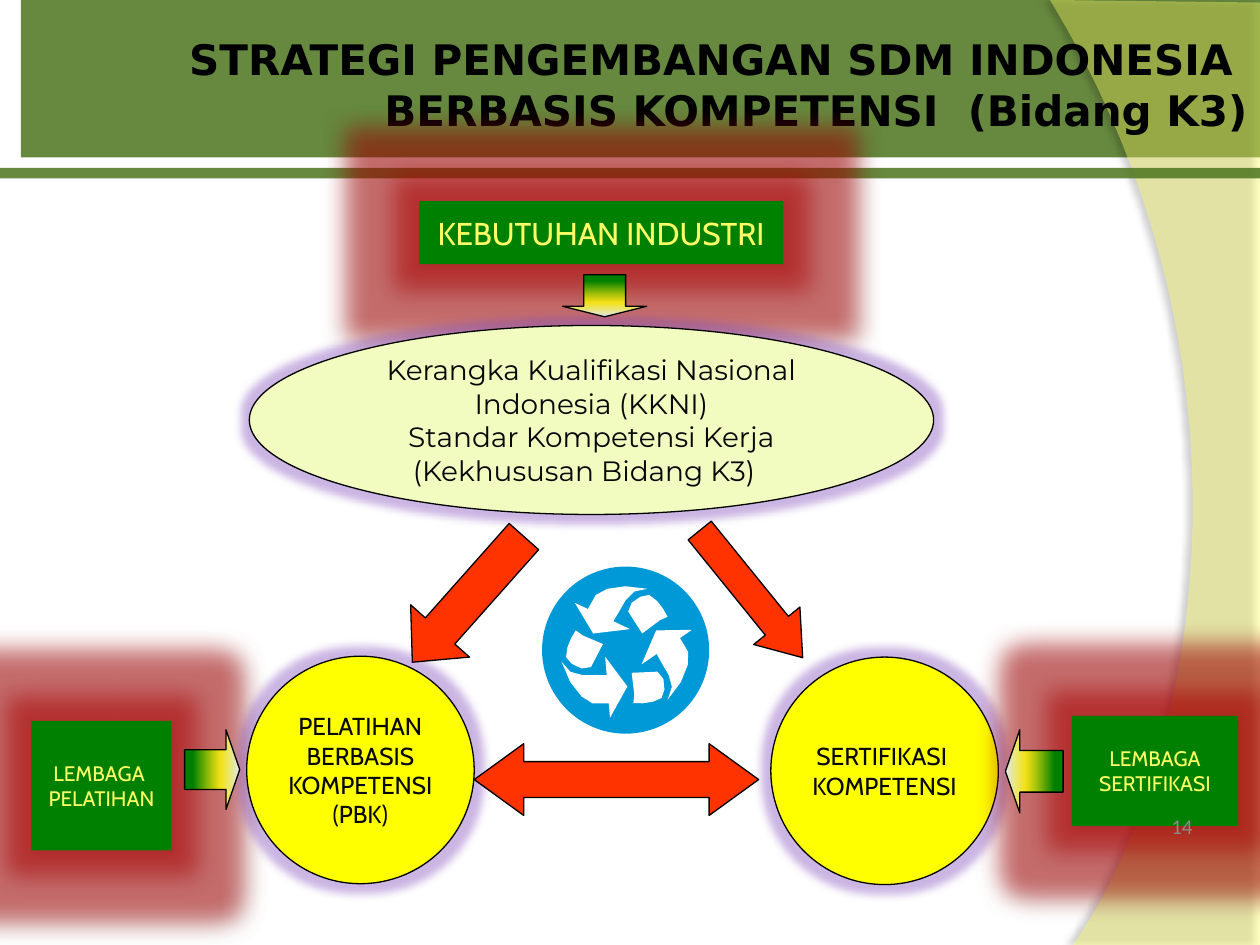
from dataclasses import dataclass
from math import cos, radians, sin

from lxml import etree
from pptx import Presentation
from pptx.dml.color import RGBColor
from pptx.enum.shapes import MSO_SHAPE
from pptx.enum.text import MSO_ANCHOR, PP_ALIGN
from pptx.oxml.ns import qn
from pptx.util import Pt

RECTANGLE, OVAL = MSO_SHAPE.RECTANGLE, MSO_SHAPE.OVAL
RIGHT_ARROW, DOUBLE_ARROW = MSO_SHAPE.RIGHT_ARROW, MSO_SHAPE.LEFT_RIGHT_ARROW
MIDDLE = MSO_ANCHOR.MIDDLE
CENTER, RIGHT = PP_ALIGN.CENTER, PP_ALIGN.RIGHT


@dataclass(frozen=True)
class Theme:
    band: str = "4D7620"
    swoosh: str = "FFFF66"
    industry: str = "008000"
    framework: str = "F2FCC0"
    circle: str = "FFFF00"
    arrow: str = "FF3300"
    icon: str = "0099D8"
    white: str = "FFFFFF"
    black: str = "000000"
    ink: str = "080808"
    number: str = "8C8C8C"
    red_glow: tuple = ("B00000", 50, 28)
    violet_glow: tuple = ("7D46B9", 40, 10)
    box_shadow: tuple = ("000000", 30, 4.5, 2.6, 53)
    swoosh_shadow: tuple = ("000000", 45, 4, 4, 180)
    gradient: tuple = ((16, "008000", 100), (65, "FFFF00", 80), (100, "E1E8F5", 100))
    title_size: float = 24
    heading_size: float = 18
    framework_size: float = 16
    circle_size: float = 14
    small_size: float = 12


class SlideBuilder:
    """Draws styled elements on the current slide, measured in points."""

    def __init__(self, slide, theme):
        self.slide, self.theme = slide, theme

    def color_node(self, parent, color, alpha):
        node = etree.SubElement(parent, qn("a:srgbClr"), val=color)
        etree.SubElement(node, qn("a:alpha"), val=str(alpha * 1000))

    def place(self, shape, box):
        for name, value in zip(("left", "top", "width", "height"), box):
            setattr(shape, name, Pt(value))

    def paint(self, shape, fill=None, alpha=100, line=None, glow=None, shadow=None):
        shape.shadow.inherit = False
        properties = shape._element.spPr
        if fill:
            shape.fill.solid()
            shape.fill.fore_color.rgb = RGBColor.from_string(fill)
            if alpha < 100:
                color = properties.find(qn("a:solidFill"))[0]
                etree.SubElement(color, qn("a:alpha"), val=str(alpha * 1000))
        if line:
            shape.line.color.rgb = RGBColor.from_string(line)
            shape.line.width = Pt(0.75)
        else:
            shape.line.fill.background()
        effects = properties.find(qn("a:effectLst"))
        if glow:
            color, opacity, radius = glow
            node = etree.SubElement(effects, qn("a:glow"), rad=str(Pt(radius)))
            self.color_node(node, color, opacity)
        if shadow:
            color, opacity, blur, distance, angle = shadow
            node = etree.SubElement(effects, qn("a:outerShdw"), blurRad=str(Pt(blur)),
                                    dist=str(Pt(distance)), dir=str(angle * 60000),
                                    algn="ctr", rotWithShape="0")
            self.color_node(node, color, opacity)

    def set_text(self, shape, text, size, color, font, align=CENTER, bold=False,
                 wrap=True, inset=7.2):
        frame = shape.text_frame
        frame.text = text
        frame_format = {"word_wrap": wrap, "vertical_anchor": MIDDLE,
                        "margin_left": Pt(inset), "margin_right": Pt(inset),
                        "margin_top": Pt(3.6), "margin_bottom": Pt(3.6)}
        for name, value in frame_format.items():
            setattr(frame, name, value)
        for para in frame.paragraphs:
            para.alignment = align
            for span in para.runs:
                for name, value in {"size": Pt(size), "name": font, "bold": bold}.items():
                    setattr(span.font, name, value)
                span.font.color.rgb = RGBColor.from_string(color)

    def shape(self, kind, box, rotation=0, adjustments=(), **paint):
        shape = self.slide.shapes.add_shape(kind, *map(Pt, box))
        shape.rotation = rotation
        for index, value in enumerate(adjustments):
            shape.adjustments[index] = value
        self.paint(shape, **paint)
        return shape

    def outline(self, points, **paint):
        corners = [(Pt(x), Pt(y)) for x, y in points]
        builder = self.slide.shapes.build_freeform(*corners[0])
        builder.add_line_segments(corners[1:], close=True)
        self.paint(builder.convert_to_shape(), **paint)

    def title(self, text, box):
        title = self.slide.shapes.title
        self.slide.shapes._spTree.append(title._element)
        self.place(title, box)
        self.set_text(title, text, self.theme.title_size, self.theme.black, "DejaVu Sans",
                      align=RIGHT, bold=True)

    def industry_box(self, text, box, size):
        shape = self.shape(RECTANGLE, box, fill=self.theme.industry,
                           glow=self.theme.red_glow, shadow=self.theme.box_shadow)
        self.set_text(shape, text, size, self.theme.swoosh, "Cabin", wrap=False)

    def oval(self, text, box, fill, size, font, wrap=True):
        shape = self.shape(OVAL, box, fill=fill, line=self.theme.black,
                           glow=self.theme.violet_glow)
        self.set_text(shape, text, size, self.theme.ink, font, wrap=wrap, inset=0)

    def arrow(self, kind, box, rotation, head):
        self.shape(kind, box, rotation, (0.5, head), fill=self.theme.arrow,
                   line=self.theme.black)

    def gradient_arrow(self, box, rotation):
        shape = self.shape(RIGHT_ARROW, box, rotation, (0.5, 0.25), line=self.theme.black)
        shape.fill.gradient()
        shape.fill.gradient_angle = 0
        stops = shape._element.spPr.find(qn("a:gradFill")).find(qn("a:gsLst"))
        for stop in list(stops):
            stops.remove(stop)
        for position, color, alpha in self.theme.gradient:
            stop = etree.SubElement(stops, qn("a:gs"), pos=str(position * 1000))
            self.color_node(stop, color, alpha)

    def cycle_icon(self, center_x, center_y, diameter):
        radius = diameter / 2
        self.shape(OVAL, (center_x - radius, center_y - radius, diameter, diameter),
                   fill=self.theme.icon)
        head = ((-29, -27), (-21.5, -23.5), (-17, -31.5), (-10.5, -35), (0, -36.5),
                (12.5, -35), (5, -33.5), (0, -28.5), (-4, -21.5), (-7, -16.5),
                (2.5, -12), (-18.5, -9.5))
        tail = ((9.5, -9.5), (1.5, -22), (3.5, -27), (8.5, -30.5), (13.5, -31.5),
                (18, -28), (21.5, -23.5), (24, -19), (19.5, -17))
        for turn in (0, 120, 240):
            cosine, sine = cos(radians(turn)), sin(radians(turn))
            for part in (head, tail):
                self.outline([(center_x + x * cosine - y * sine,
                               center_y + x * sine + y * cosine) for x, y in part],
                             fill=self.theme.white)

    def label(self, text, box):
        shape = self.slide.shapes.add_textbox(*map(Pt, box))
        self.set_text(shape, text, self.theme.small_size, self.theme.number, "Calibri",
                      align=RIGHT)


def curve(start, first, second, end, steps=40):
    """Return points along a cubic curve."""
    return [tuple((1 - t) ** 3 * a + 3 * (1 - t) ** 2 * t * b + 3 * (1 - t) * t ** 2 * c
                  + t ** 3 * d for a, b, c, d in zip(start, first, second, end))
            for t in (step / steps for step in range(steps + 1))]


def main():
    theme = Theme()
    deck = Presentation()
    deck.slide_width, deck.slide_height = Pt(720), Pt(540)
    page = SlideBuilder(deck.slides.add_slide(deck.slide_layouts[5]), theme)

    page.shape(RECTANGLE, (12, 0, 708, 90), fill=theme.band, alpha=86)
    edge = curve((613, 540), (680.5, 445.5), (731, 216), (600, 0))
    page.outline([(720, 1.5), (720, 540), *edge], fill=theme.swoosh, alpha=40,
                 shadow=theme.swoosh_shadow)
    page.shape(RECTANGLE, (0, 96, 720, 6), fill=theme.band, alpha=86)
    page.title("STRATEGI PENGEMBANGAN SDM INDONESIA \vBERBASIS KOMPETENSI  (Bidang K3)",
               (96, 18, 624, 60))

    page.industry_box("KEBUTUHAN INDUSTRI", (239.5, 115, 208, 36), theme.heading_size)
    page.industry_box("LEMBAGA \nPELATIHAN", (18, 412, 80, 74), theme.small_size)
    page.oval("Kerangka Kualifikasi Nasional Indonesia (KKNI)\nStandar Kompetensi Kerja\n"
              "(Kekhususan Bidang K3)  ", (142.5, 186, 391, 108), theme.framework,
              theme.framework_size, "Montserrat")
    page.oval("PELATIHAN BERBASIS KOMPETENSI (PBK)", (141, 375, 130, 130), theme.circle,
              theme.circle_size, "Cabin")
    page.oval("SERTIFIKASI \nKOMPETENSI", (440.5, 375.5, 130, 130), theme.circle,
              theme.circle_size, "Cabin", wrap=False)
    page.industry_box("LEMBAGA\nSERTIFIKASI", (612.5, 409, 95, 63), theme.small_size)

    page.arrow(RIGHT_ARROW, (219.5, 320, 96, 45), 131.6, 0.53)
    page.arrow(RIGHT_ARROW, (382.5, 322.5, 93.5, 34), 51, 0.69)
    page.arrow(DOUBLE_ARROW, (271, 425, 162.5, 41), 0, 0.69)
    page.gradient_arrow((105.5, 417, 31.5, 45.5), 0)
    page.gradient_arrow((333.5, 145, 24, 48), 90)
    page.gradient_arrow((574.5, 417, 33, 47.5), 180)
    page.cycle_icon(357.5, 371.5, 95.5)
    page.label("14", (640, 451.5, 48.5, 41))
    deck.save("out.pptx")


if __name__ == "__main__":
    main()
